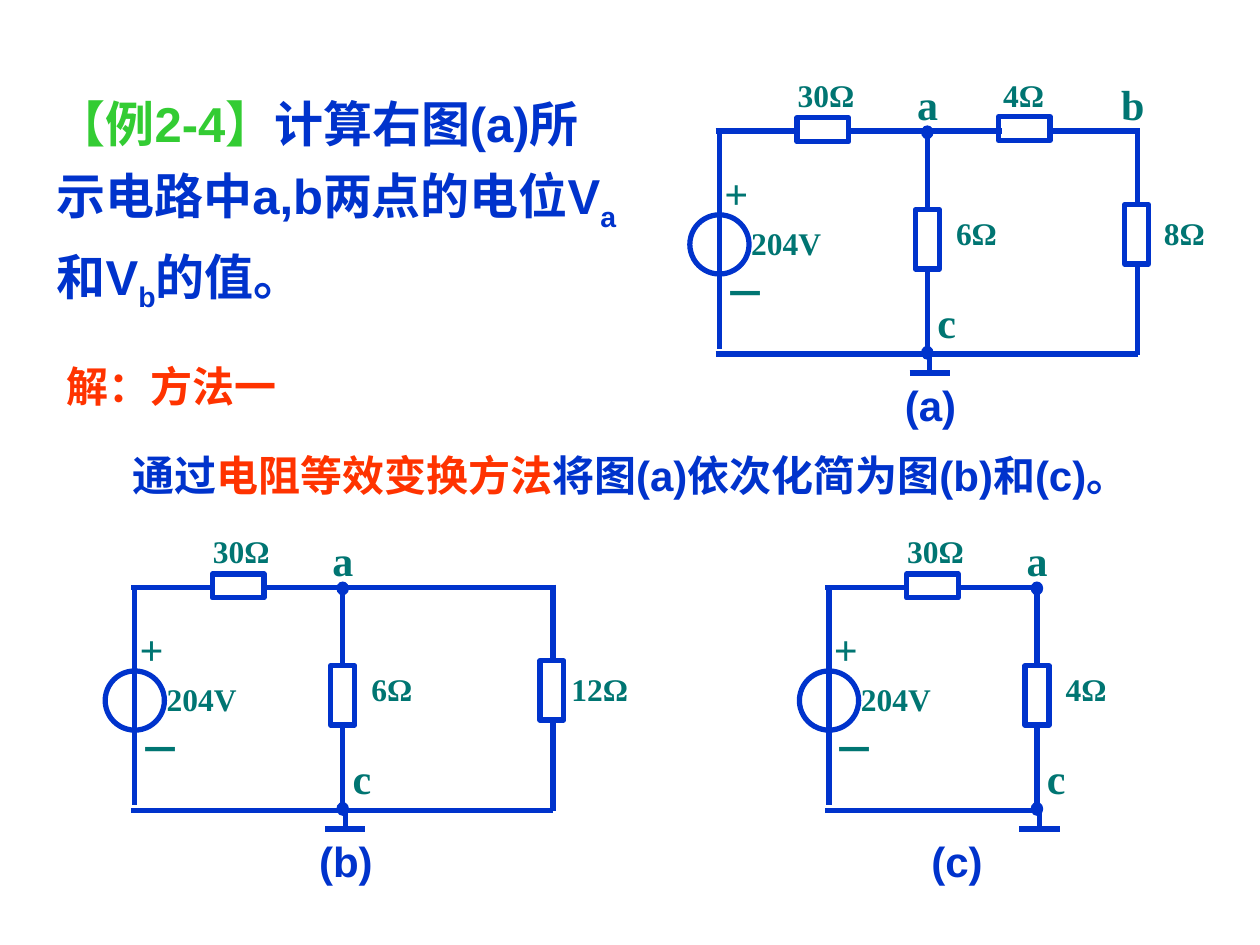
from pptx import Presentation
from pptx import util as u
from pptx.dml.color import RGBColor
from pptx.enum import shapes, text
from pptx.oxml.ns import qn
from lxml import etree

THEME = {
    "blue": RGBColor.from_string("0033CC"),
    "teal": RGBColor.from_string("007572"),
    "green": RGBColor.from_string("33CC33"),
    "red": RGBColor.from_string("FF3300"),
    "sans": "Arial", "serif": "Times New Roman",
    "title": 28, "body": 24, "value": 18, "line": 3,
}
LEFT, CENTER = text.PP_ALIGN.LEFT, text.PP_ALIGN.CENTER

# Text styles: font, size, insets (x, y), wrapping, alignment, line spacing
TITLE = dict(font=THEME["sans"], size=THEME["title"], pad=(0.1, 0.05),
             wrap=True, align=LEFT, spacing=1.2)
BODY = dict(TITLE, size=THEME["body"])
CAPTION = dict(BODY, align=CENTER, spacing=1.0)
NODE = dict(BODY, font=THEME["serif"], wrap=False, spacing=0.7)
VALUE = dict(CAPTION, font=THEME["serif"], size=THEME["value"], pad=(0, 0))
VOLTAGE = dict(VALUE, wrap=False)


def write(sp, box, runs, style, indent=0):
    """Place a text shape and fill it with (text, colour, baseline) runs."""
    for name, value in zip(("left", "top", "width", "height"), box):
        setattr(sp, name, u.Inches(value))
    tf = sp.text_frame
    pad_x, pad_y = (u.Inches(v) for v in style["pad"])
    frame = dict(margin_left=pad_x, margin_right=pad_x, margin_top=pad_y,
                 margin_bottom=pad_y, word_wrap=style["wrap"],
                 vertical_anchor=text.MSO_ANCHOR.TOP,
                 auto_size=text.MSO_AUTO_SIZE.SHAPE_TO_FIT_TEXT)
    for name, value in frame.items():
        setattr(tf, name, value)
    p = tf.paragraphs[0]
    p.alignment, p.line_spacing = style["align"], style["spacing"]
    if indent:
        p._p.get_or_add_pPr().set("indent", str(u.Inches(indent)))
    for content, colour, baseline in runs:
        r = p.add_run()
        r.text = content
        font = dict(name=style["font"], size=u.Pt(style["size"]), bold=True)
        for name, value in font.items():
            setattr(r.font, name, value)
        r.font.color.rgb = THEME[colour]
        if baseline:
            r._r.get_or_add_rPr().set("baseline", str(baseline * 1000))


prs = Presentation()
prs.slide_width, prs.slide_height = u.Inches(10), u.Inches(7.5)
s = prs.slides.add_slide(prs.slide_layouts[5])

# Problem statement
write(s.shapes.title, (0.35, 0.6, 4.65, 1.86), [
    ("【例2-4】", "green", 0),
    ("计算右图(a)所示电路中a,b两点的电位V", "blue", 0),
    ("a", "blue", -25), ("和V", "blue", 0),
    ("b", "blue", -25), ("的值。", "blue", 0)], TITLE)

# Solution
write(s.shapes.add_textbox(0, 0, 0, 0), (0.43, 2.73, 2.28, 0.58),
      [("解：方法一", "red", 0)], BODY)
write(s.shapes.add_textbox(0, 0, 0, 0), (0.43, 3.44, 9.29, 0.58), [
    ("通过", "blue", 0), ("电阻等效变换方法", "red", 0),
    ("将图(a)依次化简为图(b)和(c)。", "blue", 0)], BODY, indent=0.52)

# Parts shared by all circuits, measured from the top left corner of the loop
MID, OUTER, BOTTOM, GROUND = 1.65, 3.32, 1.77, 1.92
wires = [
    (-0.03, 0, 0.6, 0), (0, 0, 0, 1.73),
    (MID, 0, MID, 0.61), (MID, 1.07, MID, BOTTOM),
    (1.67, BOTTOM, 1.67, GROUND), (1.51, GROUND, 1.83, GROUND),
]
resistors = [(0.82, -0.01, 0.41, 0.19), (MID, 0.86, 0.19, 0.47)]
labels = [
    ("a", 1.47, -0.36, 0.36, 0.38, NODE), ("c", 1.63, 1.37, 0.35, 0.38, NODE),
    ("+", -0.06, 0.35, 0.39, 0.38, NODE), ("－", -0.06, 1.14, 0.53, 0.38, NODE),
    ("204V", 0.25, 0.74, 0.56, 0.3, VOLTAGE),
    ("30Ω", 0.41, -0.44, 0.87, 0.3, VALUE),
]
outer_wires = [(OUTER, -0.02, OUTER, 0.59), (OUTER, 1.06, OUTER, 1.78)]
outer_resistor = (OUTER - 0.01, 0.82, 0.19, 0.47)

# What differs between the circuits
circuits = [
    dict(at=(5.71, 1.04), caption="(a)", caption_x=1.28, mid="6Ω", outer="8Ω",
         top_end=2.24, bottom_end=OUTER, wires=[(2.64, 0, OUTER, 0)],
         resistors=[(2.42, -0.02, 0.41, 0.19)],
         labels=[("4Ω", 1.98, -0.44, 0.87, 0.3, VALUE),
                 ("b", 3.09, -0.36, 0.38, 0.38, NODE)]),
    dict(at=(1.07, 4.66), caption="(b)", caption_x=1.28, mid="6Ω", outer="12Ω",
         top_end=OUTER, bottom_end=OUTER, wires=[], resistors=[], labels=[]),
    dict(at=(6.58, 4.66), caption="(c)", caption_x=0.62, mid="4Ω", outer=None,
         top_end=MID, bottom_end=MID, wires=[], resistors=[], labels=[]),
]

RECT, OVAL = shapes.MSO_SHAPE.RECTANGLE, shapes.MSO_SHAPE.OVAL
for c in circuits:
    ox, oy = c["at"]
    group = s.shapes.add_group_shape().shapes
    c_wires = wires + c["wires"] + [(1.04, 0, c["top_end"], 0),
                                    (-0.03, BOTTOM, c["bottom_end"], BOTTOM)]
    c_resistors = resistors + c["resistors"]
    c_labels = labels + c["labels"] + [(c["mid"], 1.75, 0.66, 0.58, 0.3, VALUE)]
    if c["outer"]:
        c_wires += outer_wires
        c_resistors += [outer_resistor]
        c_labels += [(c["outer"], 3.4, 0.66, 0.58, 0.3, VALUE)]

    # Wires
    for x1, y1, x2, y2 in c_wires:
        line = group.add_connector(
            shapes.MSO_CONNECTOR.STRAIGHT, u.Inches(ox + x1), u.Inches(oy + y1),
            u.Inches(ox + x2), u.Inches(oy + y2))
        line.line.color.rgb = THEME["blue"]
        line.line.width = u.Pt(THEME["line"])
        etree.SubElement(line._element.spPr, qn("a:effectLst"))

    # Resistors, voltage source and nodes, given by centre and size
    parts = [(RECT, *box, False) for box in c_resistors]
    parts += [(OVAL, 0, 0.9, 0.47, 0.47, False)]
    parts += [(OVAL, MID, y, 0.1, 0.11, True) for y in (0.01, 1.76)]
    for kind, x, y, w, h, solid in parts:
        sp = group.add_shape(kind, u.Inches(ox + x - w / 2),
                             u.Inches(oy + y - h / 2), u.Inches(w), u.Inches(h))
        sp.shadow.inherit = False
        if solid:
            sp.fill.solid()
            sp.fill.fore_color.rgb = THEME["blue"]
            sp.line.fill.background()
        else:
            sp.fill.background()
            sp.line.color.rgb = THEME["blue"]
            sp.line.width = u.Pt(THEME["line"])

    # Labels and caption
    for content, x, y, w, h, style in c_labels:
        write(group.add_textbox(0, 0, 0, 0), (ox + x, oy + y, w, h),
              [(content, "teal", 0)], style)
    write(group.add_textbox(0, 0, 0, 0), (ox + c["caption_x"], oy + GROUND, 0.79, 0.5),
          [(c["caption"], "blue", 0)], CAPTION)
    # Fit the group frame to its moved text boxes
    group._recalculate_extents()

prs.save("out.pptx")
